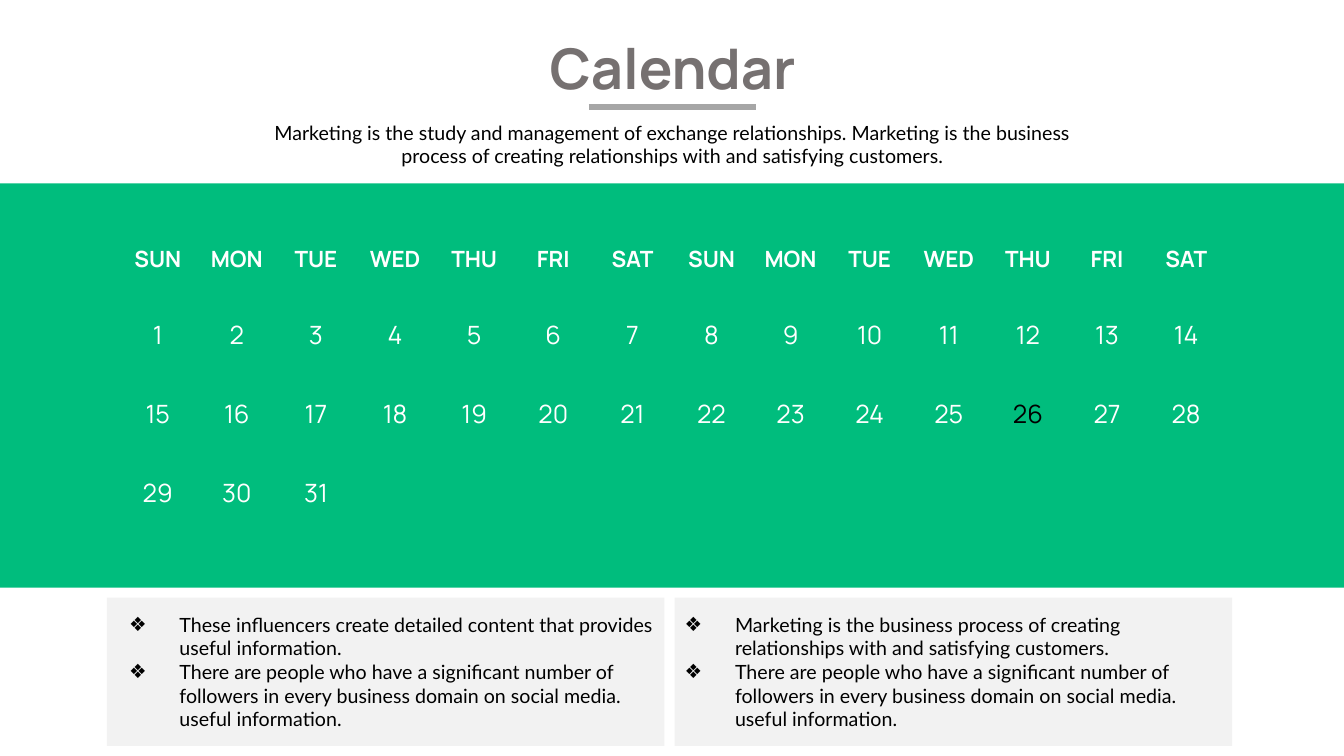
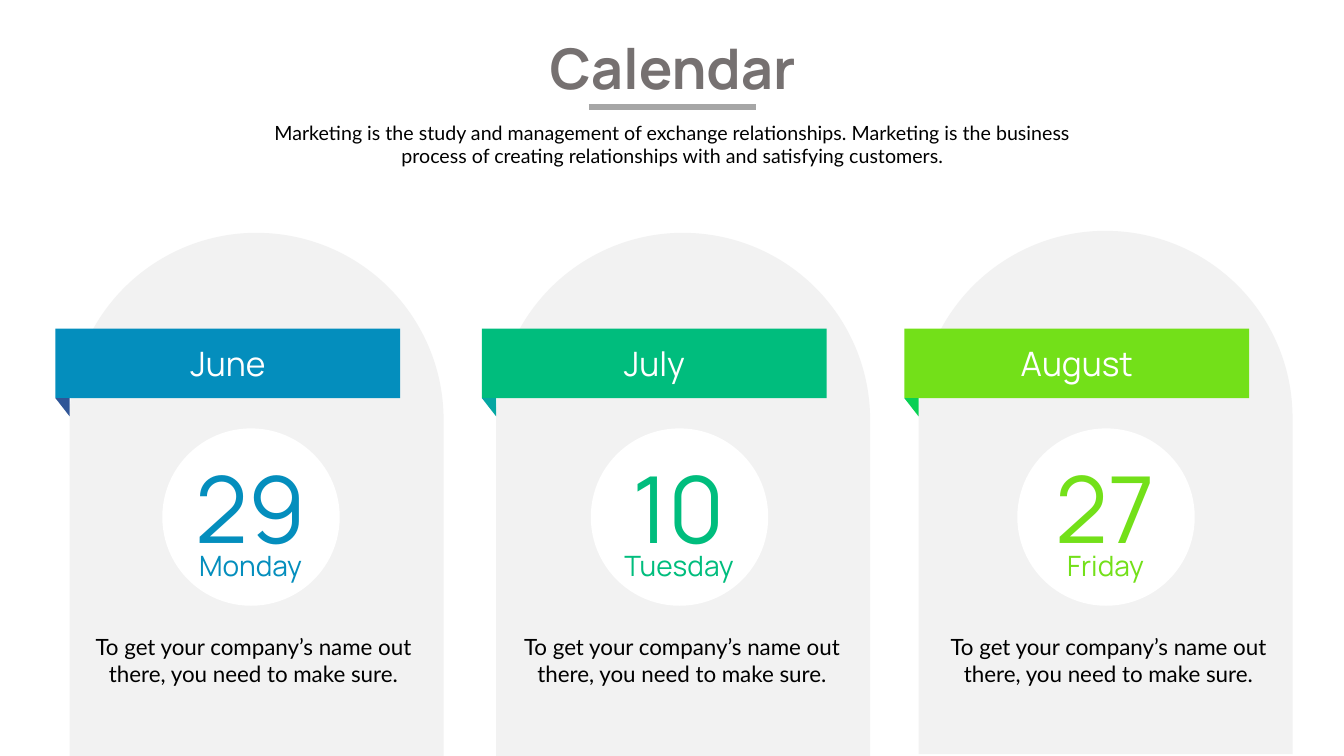
from lxml import etree
from pptx import Presentation
from pptx.dml.color import RGBColor
from pptx.enum.shapes import MSO_CONNECTOR, MSO_SHAPE
from pptx.enum.text import MSO_ANCHOR, MSO_AUTO_SIZE, PP_ALIGN
from pptx.oxml.ns import qn
from pptx.util import Inches, Pt

WHITE = RGBColor(0xFF, 0xFF, 0xFF)
BLACK = RGBColor(0x00, 0x00, 0x00)
TITLE_GRAY = RGBColor(0x76, 0x71, 0x71)
RULE_GRAY = RGBColor(0xA6, 0xA6, 0xA6)
PANEL_GRAY = RGBColor(0xF2, 0xF2, 0xF2)
BLUE = RGBColor(0x04, 0x8E, 0xBD)
NAVY = RGBColor(0x2F, 0x55, 0x97)
GREEN = RGBColor(0x00, 0xBD, 0x7D)
TEAL = RGBColor(0x04, 0xA7, 0xA2)
LIME = RGBColor(0x73, 0xE0, 0x19)
LEAF = RGBColor(0x09, 0xD0, 0x54)

HEADING_FONT = "Manrope"
BODY_FONT = "Lato"

RECTANGLE = MSO_SHAPE.RECTANGLE
ROUNDED = MSO_SHAPE.ROUNDED_RECTANGLE
ARCH = MSO_SHAPE.ROUND_2_SAME_RECTANGLE
OVAL = MSO_SHAPE.OVAL
FOLD = MSO_SHAPE.RIGHT_TRIANGLE
STRAIGHT = MSO_CONNECTOR.STRAIGHT
TOP = MSO_ANCHOR.TOP
MIDDLE = MSO_ANCHOR.MIDDLE
CENTER = PP_ALIGN.CENTER
LEFT = PP_ALIGN.LEFT
GROW = MSO_AUTO_SIZE.SHAPE_TO_FIT_TEXT
FIXED = MSO_AUTO_SIZE.NONE

SLIDE_WIDTH = 13.33
SLIDE_HEIGHT = 7.5
TWO_CONTENT_LAYOUT = 3
TITLE_ONLY_LAYOUT = 5

SUBTITLE = ("Marketing is the study and management of exchange relationships. "
            "Marketing is the business process of creating relationships with "
            "and satisfying customers.")
WEEKDAYS = ["SUN", "MON", "TUE", "WED", "THU", "FRI", "SAT"]
DAYS_IN_MONTH = 31
MARKED_DAY = 26
FOLLOWERS = ("There are people who have a significant number of followers in every "
             "business domain on social media. useful information.")
NOTES = [
    (1.06, 0.12, ["These influencers create detailed content that provides "
                  "useful information.", FOLLOWERS]),
    (6.69, 0, ["Marketing is the business process of creating relationships "
               "with and satisfying customers.", FOLLOWERS]),
]
CARD_TEXT = "To get your company’s name out there, you need to make sure."
CARDS = [
    (0.69, 2.31, 0.92, "June", "29", "Monday", BLUE, NAVY),
    (4.92, 2.31, 0.94, "July", "10", "Tuesday", GREEN, TEAL),
    (9.11, 2.29, 0.98, "August", "27", "Friday", LIME, LEAF),
]


def place(shape, left, top, width, height):
    shape.left, shape.top = Inches(left), Inches(top)
    shape.width, shape.height = Inches(width), Inches(height)


def format_text(shape, size, color, font=HEADING_FONT, bold=False,
                align=CENTER, anchor=MIDDLE, spacing=None):
    shape.text_frame.vertical_anchor = anchor
    for paragraph in shape.text_frame.paragraphs:
        paragraph.alignment = align
        if spacing:
            paragraph.line_spacing = spacing
        for run in paragraph.runs:
            run.font.name = font
            run.font.size = Pt(size)
            run.font.bold = bold
            run.font.color.rgb = color


def add_filled(slide, kind, left, top, width, height, fill=None):
    shape = slide.shapes.add_shape(
        kind, Inches(left), Inches(top), Inches(width), Inches(height))
    shape.shadow.inherit = False
    shape.line.fill.background()
    if fill is None:
        shape.fill.background()
    else:
        shape.fill.solid()
        shape.fill.fore_color.rgb = fill
    return shape


def add_label(slide, text, left, top, width, height, auto_size=GROW, margin=None, **style):
    label = slide.shapes.add_textbox(
        Inches(left), Inches(top), Inches(width), Inches(height))
    frame = label.text_frame
    frame.word_wrap = True
    frame.auto_size = auto_size
    if margin is not None:
        frame.margin_left = frame.margin_right = Inches(margin)
        frame.margin_top = frame.margin_bottom = Inches(margin)
    frame.text = text
    format_text(label, **style)


def add_heading(slide):
    title = slide.shapes.title
    place(title, 5.22, 0.28, 2.9, 0.77)
    title.text_frame.text = "Calendar"
    title.text_frame.word_wrap = False
    title.text_frame.auto_size = FIXED
    format_text(title, 40, TITLE_GRAY, bold=True, anchor=TOP)
    add_label(slide, SUBTITLE, 2.37, 1.15, 8.6, 0.57,
              size=14, color=BLACK, font=BODY_FONT, anchor=TOP)
    rule = slide.shapes.add_connector(
        STRAIGHT, Inches(5.84), Inches(1.06), Inches(7.5), Inches(1.06))
    rule.line.color.rgb = RULE_GRAY
    rule.line.width = Pt(4.25)
    etree.SubElement(rule._element.spPr, qn("a:effectLst"))


def add_month_grid(slide, left, top, width):
    columns = WEEKDAYS * 2
    cell = 0.73
    pitch = (width - cell) / (len(columns) - 1)
    for column, weekday in enumerate(columns):
        add_label(slide, weekday, left + column * pitch, top, cell, 0.34,
                  auto_size=FIXED, size=16, color=WHITE, bold=True)
    for day in range(1, DAYS_IN_MONTH + 1):
        row, column = divmod(day - 1, len(columns))
        day_cell = add_filled(slide, ROUNDED, left + column * pitch,
                              top + 0.55 + row * pitch, cell, cell)
        day_cell.adjustments[0] = 0.5
        day_cell.text_frame.text = str(day)
        format_text(day_cell, 18, BLACK if day == MARKED_DAY else WHITE)


def fill_bullets(body, items, left, top, width, height):
    place(body, left, top, width, height)
    frame = body.text_frame
    frame.auto_size = FIXED
    frame.text = "\n".join(items)
    format_text(body, 14, BLACK, font=BODY_FONT, align=LEFT, anchor=TOP)
    for paragraph in frame.paragraphs:
        paragraph.space_before = Pt(0)
        properties = paragraph._p.get_or_add_pPr()
        properties.set("marL", str(Inches(0.5)))
        properties.set("indent", str(-Inches(0.5)))
        etree.SubElement(properties, qn("a:buChar"), char="❖")


def add_note(slide, body, items, left, top, text_inset):
    panel = add_filled(slide, RECTANGLE, left, top, 5.53, 1.47, PANEL_GRAY)
    body._element.addprevious(panel._element)
    fill_bullets(body, items, left + text_inset, top + 0.1, 5.46, 1.28)


def add_date_card(slide, left, top, panel_top, badge_offset,
                  month, day, weekday, color, fold_color):
    panel = add_filled(slide, ARCH, left, panel_top, 3.71, 5.19, PANEL_GRAY)
    panel.adjustments[0] = 0.5
    panel.adjustments[1] = 0

    ribbon_left = left - 0.14
    ribbon = add_filled(slide, RECTANGLE, ribbon_left, top + 0.95, 3.42, 0.69, color)
    ribbon.text_frame.text = month
    format_text(ribbon, 24, WHITE)
    fold = add_filled(slide, FOLD, ribbon_left, top + 1.64, 0.14, 0.18, fold_color)
    fold.rotation = 180

    badge_left = left + badge_offset
    add_filled(slide, OVAL, badge_left, top + 1.94, 1.76, 1.76, WHITE)
    add_label(slide, day, badge_left - 0.26, top + 2.4, 2.27, 0.77,
              margin=0, size=66, color=color, spacing=0.9)
    add_label(slide, weekday, badge_left - 0.86, top + 3.2, 3.47, 0.23,
              margin=0, size=20, color=color, spacing=0.9)
    add_label(slide, CARD_TEXT, badge_left - 0.83, top + 3.92, 3.47, 0.64,
              size=16, color=BLACK, font=BODY_FONT, anchor=TOP)


def build_month_slide(presentation):
    slide = presentation.slides.add_slide(presentation.slide_layouts[TWO_CONTENT_LAYOUT])
    add_filled(slide, RECTANGLE, 0, 1.82, SLIDE_WIDTH, 4.01, GREEN)
    add_heading(slide)
    add_month_grid(slide, 1.2, 2.4, 10.93)
    bodies = list(slide.placeholders)[1:]
    for body, (left, text_inset, items) in zip(bodies, NOTES):
        add_note(slide, body, items, left, 5.93, text_inset)


def build_dates_slide(presentation):
    slide = presentation.slides.add_slide(presentation.slide_layouts[TITLE_ONLY_LAYOUT])
    add_heading(slide)
    for left, panel_top, *details in CARDS:
        add_date_card(slide, left, 2.31, panel_top, *details)


def main():
    presentation = Presentation()
    presentation.slide_width = Inches(SLIDE_WIDTH)
    presentation.slide_height = Inches(SLIDE_HEIGHT)
    build_month_slide(presentation)
    build_dates_slide(presentation)
    presentation.save("out.pptx")


if __name__ == "__main__":
    main()
